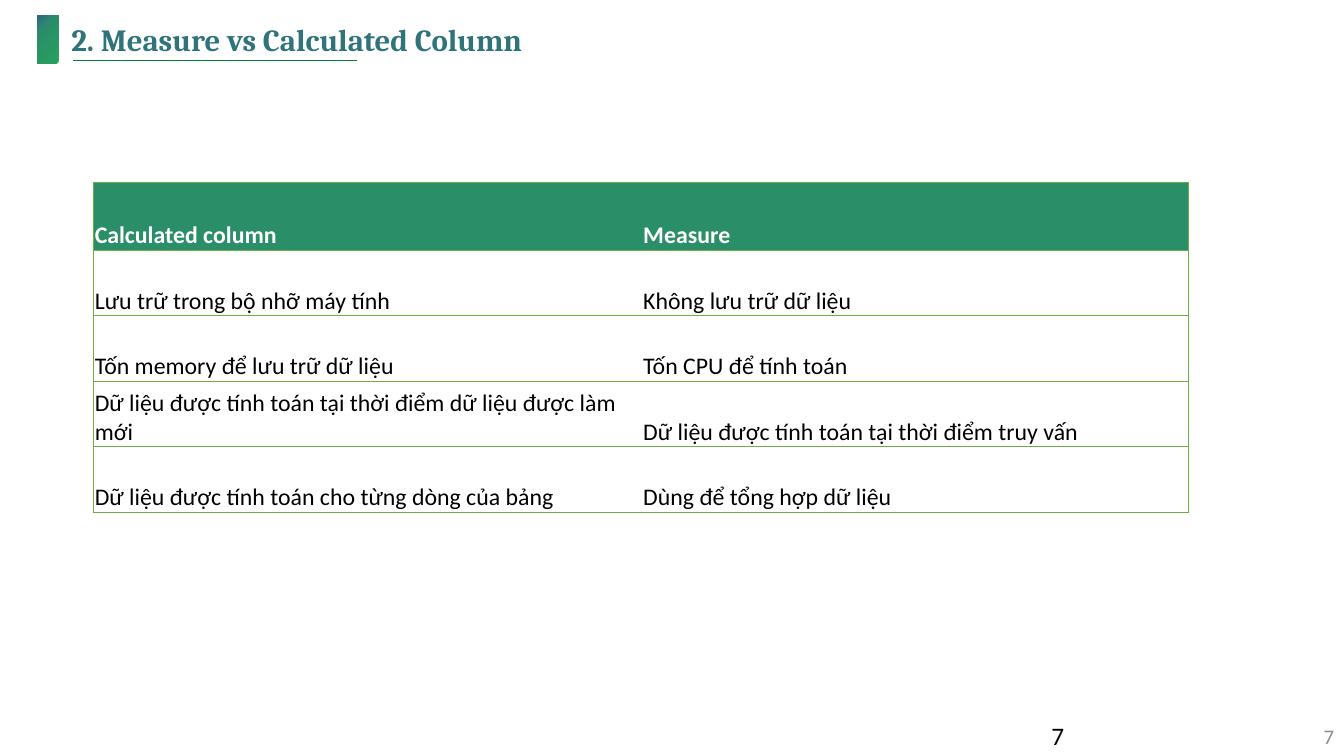
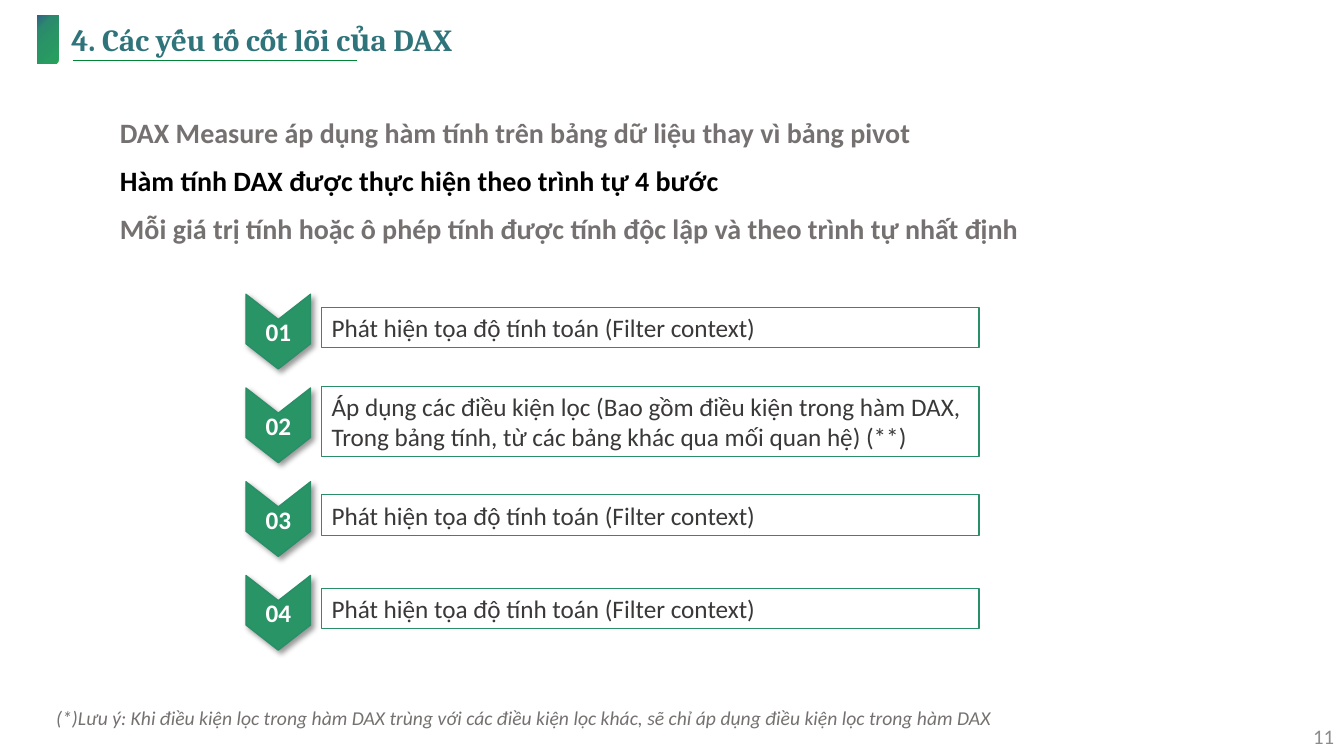
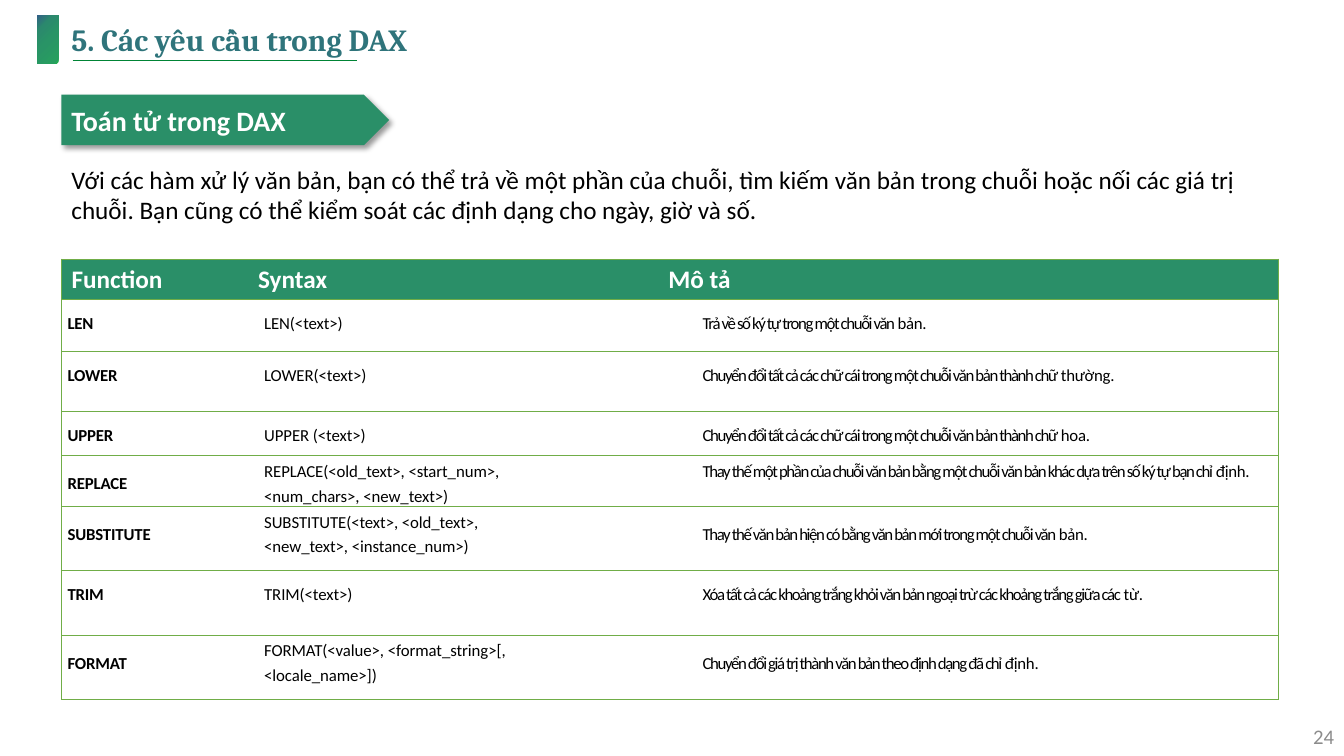
from pptx import Presentation, util as u
from pptx.dml.color import RGBColor
from pptx.enum import shapes, text
from pptx.oxml import parse_xml
from pptx.oxml.ns import qn

NS = 'xmlns:a="http://schemas.openxmlformats.org/drawingml/2006/main"'
PLAIN_TABLE = "{2D5ABB26-0587-4C30-8999-92F81FD0307C}"
GREEN, MINT, RULE, EDGE = "2A8F68", "299465", "008435", "70AD47"
TEAL, BLACK, WHITE = "2F747B", "000000", "FFFFFF"
GREY, PALE, DARK = "767171", "8C8C8C", "3B3838"
BADGE = [(0, "325E89"), (11, TEAL), (23, "2B896D"), (53, "299466"), (92, "279E5F"), (99, "23B350")]
MIDDLE, BOTTOM = text.MSO_ANCHOR.MIDDLE, text.MSO_ANCHOR.BOTTOM
CENTER, RIGHT = text.PP_ALIGN.CENTER, text.PP_ALIGN.RIGHT
KIND = shapes.MSO_SHAPE

HEAD = dict(size=18, color=WHITE, bold=True)
BODY = dict(size=18, color=BLACK)
CELL = dict(size=12, color=BLACK)

COMPARE = [
    ("Calculated column", "Measure"),
    ("Lưu trữ trong bộ nhỡ máy tính", "Không lưu trữ dữ liệu"),
    ("Tốn memory để lưu trữ dữ liệu", "Tốn CPU để tính toán"),
    ("Dữ liệu được tính toán tại thời điểm dữ liệu được làm mới",
     "Dữ liệu được tính toán tại thời điểm truy vấn"),
    ("Dữ liệu được tính toán cho từng dòng của bảng", "Dùng để tổng hợp dữ liệu"),
]
POINTS = [
    ("DAX Measure áp dụng hàm tính trên bảng dữ liệu thay vì bảng pivot", GREY),
    ("Hàm tính DAX được thực hiện theo trình tự 4 bước", BLACK),
    ("Mỗi giá trị tính hoặc ô phép tính được tính độc lập và theo trình tự nhất định", GREY),
]
DETECT = ["Phát hiện tọa độ tính toán (Filter context)"]
FILTER = ["Áp dụng các điều kiện lọc (Bao gồm điều kiện trong hàm DAX,",
          "Trong bảng tính, từ các bảng khác qua mối quan hệ) (**)"]
STEPS = [DETECT, FILTER, DETECT, DETECT]
NOTE = ("(*)Lưu ý: Khi điều kiện lọc trong hàm DAX trùng với các điều kiện lọc khác, "
        "sẽ chỉ áp dụng điều kiện lọc trong hàm DAX")
INTRO = ("Với các hàm xử lý văn bản, bạn có thể trả về một phần của chuỗi, tìm kiếm văn bản "
         "trong chuỗi hoặc nối các giá trị chuỗi. Bạn cũng có thể kiểm soát các định dạng "
         "cho ngày, giờ và số.")
FUNCS = [
    ("LEN", ["LEN(<text>)"], "Trả về số ký tự trong một chuỗi văn bản."),
    ("LOWER", ["LOWER(<text>)"],
     "Chuyển đổi tất cả các chữ cái trong một chuỗi văn bản thành chữ thường."),
    ("UPPER", ["UPPER (<text>)"],
     "Chuyển đổi tất cả các chữ cái trong một chuỗi văn bản thành chữ hoa."),
    ("REPLACE", ["REPLACE(<old_text>, <start_num>,", "<num_chars>, <new_text>)"],
     "Thay thế một phần của chuỗi văn bản bằng một chuỗi văn bản khác dựa trên số ký tự bạn chỉ định."),
    ("SUBSTITUTE", ["SUBSTITUTE(<text>, <old_text>,", "<new_text>, <instance_num>)"],
     "Thay thế văn bản hiện có bằng văn bản mới trong một chuỗi văn bản."),
    ("TRIM", ["TRIM(<text>)"],
     "Xóa tất cả các khoảng trắng khỏi văn bản ngoại trừ các khoảng trắng giữa các từ."),
    ("FORMAT", ["FORMAT(<value>, <format_string>[,", "<locale_name>])"],
     "Chuyển đổi giá trị thành văn bản theo định dạng đã chỉ định."),
]


def rgb(code):
    return RGBColor.from_string(code)


def apply(target, values):
    for name, value in values.items():
        setattr(target, name, value)


def style(run, size, color, name="Calibri", track=0, **more):
    """Format a run; track is letter spacing in points."""
    apply(run.font, dict(size=u.Pt(size), name=name, **more))
    run.font.color.rgb = rgb(color)
    if track:
        run._r.get_or_add_rPr().set("spc", str(round(track * 100)))


def write(frame, lines, look, para=None):
    """Fill a frame; each line is a string or a list of (string, extra look)."""
    for i, line in enumerate(lines):
        par = frame.paragraphs[0] if i == 0 else frame.add_paragraph()
        apply(par, para or {})
        for words, extra in [(line, {})] if isinstance(line, str) else line:
            run = par.add_run()
            run.text = words
            style(run, **{**look, **extra})


def inches(*box):
    return [u.Inches(n) for n in box]


def label(slide, box, lines, look, para=None, **frame):
    area = slide.shapes.add_textbox(*inches(*box)).text_frame
    apply(area, dict(word_wrap=True, **frame))
    write(area, lines, look, para)


def block(slide, kind, box, fill=None, line=None, width=1):
    shape = slide.shapes.add_shape(kind, *inches(*box))
    shape.shadow.inherit = False
    if fill:
        shape.fill.solid()
        shape.fill.fore_color.rgb = rgb(fill)
    else:
        shape.fill.background()
    if line:
        shape.line.color.rgb = rgb(line)
        shape.line.width = u.Pt(width)
    else:
        shape.line.fill.background()
    return shape


def shade(shape):
    """Cast a soft shadow to the lower right."""
    shape._element.spPr.find(qn("a:effectLst")).append(parse_xml(
        f'<a:outerShdw {NS} blurRad="{u.Pt(4)}" dist="{u.Pt(3)}" dir="2700000" algn="tl" '
        'rotWithShape="0"><a:srgbClr val="000000"><a:alpha val="40000"/></a:srgbClr></a:outerShdw>'))


def blend(shape, stops):
    """Fill a shape with rings of colour from its top left corner."""
    marks = "".join(f'<a:gs pos="{at * 1000}"><a:srgbClr val="{code}"/></a:gs>' for at, code in stops)
    props = shape._element.spPr
    props.replace(props.find(qn("a:noFill")), parse_xml(
        f'<a:gradFill {NS} rotWithShape="1"><a:gsLst>{marks}</a:gsLst><a:path path="circle">'
        '<a:fillToRect r="100000" b="100000"/></a:path></a:gradFill>'))


def rule(slide, left, right, top):
    line = slide.shapes.add_connector(shapes.MSO_CONNECTOR.STRAIGHT, *inches(left, top, right, top))
    line.line.color.rgb = rgb(RULE)
    line.line.width = u.Pt(1)
    line._element.spPr.append(parse_xml(f"<a:effectLst {NS}/>"))


def start(deck, title, number):
    """Add a slide with the shared title, badge, rule and number."""
    slide = deck.slides.add_slide(deck.slide_layouts[6])
    rule(slide, 0.72, 3.54, 0.6)
    blend(block(slide, KIND.RECTANGLE, (0.37, 0.15, 0.21, 0.48)), BADGE)
    label(slide, (10.33, 7.1, 3, 0.4), [number], dict(size=14.8, color=PALE),
          dict(alignment=RIGHT), vertical_anchor=MIDDLE)
    label(slide, (0.61, 0.07, 11.19, 0.69), [title],
          dict(size=22, color=TEAL, name="Cambria", bold=True),
          dict(line_spacing=0.9), vertical_anchor=MIDDLE)
    return slide


def grid(slide, left, top, cols, rows):
    """Add a plain table with ruled rows and a filled head."""
    frame = slide.shapes.add_table(len(rows), len(cols), *inches(left, top, sum(cols), sum(rows)))
    table = frame.table
    apply(table, dict(first_row=False, horz_banding=False))
    table._tbl.tblPr.find(qn("a:tableStyleId")).text = PLAIN_TABLE
    for col, size in zip(table.columns, cols):
        col.width = u.Inches(size)
    for i, size in enumerate(rows):
        table.rows[i].height = u.Inches(size)
        for j in range(len(cols)):
            cell = table.cell(i, j)
            sides = "L" * (j == 0) + "R" * (j == len(cols) - 1) + "TB"
            for side in sides:
                cell._tc.get_or_add_tcPr().append(parse_xml(
                    f'<a:ln{side} {NS} w="{u.Pt(0.5)}"><a:solidFill><a:srgbClr val="{EDGE}"/>'
                    f"</a:solidFill></a:ln{side}>"))
            if i == 0:
                cell.fill.solid()
                cell.fill.fore_color.rgb = rgb(GREEN)
            else:
                cell.fill.background()
    return table


def pad(cell, left, top, right, bottom):
    names = ("margin_left", "margin_top", "margin_right", "margin_bottom")
    apply(cell, dict(zip(names, inches(left, top, right, bottom))))


def compare(deck):
    slide = start(deck, "2. Measure vs Calculated Column", "7")
    label(slide, (10.33, 7.1, 3, 0.4), ["7"], BODY)
    table = grid(slide, 0.93, 1.81, [5.44, 5.42], [0.67] + [0.65] * 4)
    for i, row in enumerate(COMPARE):
        for j, words in enumerate(row):
            cell = table.cell(i, j)
            cell.vertical_anchor = BOTTOM
            pad(cell, 0.01, 0.01, 0.01, 0)
            write(cell.text_frame, [words], {**(BODY if i else HEAD), "size": 17})


def step(slide, i, lines):
    mid = 3.29 + 0.93 * i
    arrow = block(slide, KIND.CHEVRON, (2.39, mid - 0.32, 0.74, 0.64), MINT, GREEN)
    arrow.adjustments[0] = 0.39
    arrow.rotation = 90
    shade(arrow)
    area = arrow.text_frame
    area.vertical_anchor = MIDDLE
    area._txBody.bodyPr.set("vert", "vert270")
    write(area, [f"{i + 1:02}"], HEAD, dict(alignment=CENTER))

    tall = 0.1 + 0.3 * len(lines)
    box = block(slide, KIND.RECTANGLE, (3.19, mid - 0.04 - tall / 2, 6.52, tall), None, GREEN, 0.75)
    apply(box.text_frame, dict(word_wrap=len(lines) == 1, vertical_anchor=MIDDLE))
    write(box.text_frame, lines, dict(size=18, color=DARK), dict(alignment=text.PP_ALIGN.LEFT))


def basics(deck):
    slide = start(deck, "4. Các yếu tố cốt lõi của DAX", "11")
    label(slide, (0.61, 1.1, 12.21, 1.49), [[(words, dict(color=tint))] for words, tint in POINTS],
          dict(size=20, color=GREY, bold=True), dict(space_before=u.Pt(10)),
          margin_left=u.Inches(0.58))
    for i, lines in enumerate(STEPS):
        step(slide, i, lines)
    label(slide, (0.46, 6.95, 10.54, 0.34), [NOTE], dict(size=14, color=GREY, italic=True))


def squeeze(words):
    """Tighten all but the last word."""
    lead, last = words.rsplit(" ", 1)
    return [(lead + " ", dict(track=-1)), (last, dict(track=-0.2))]


def needs(deck):
    slide = start(deck, "5. Các yêu cầu trong DAX", "24")
    tag = block(slide, KIND.PENTAGON, (0.61, 0.94, 3.25, 0.5), GREEN)
    shade(tag)
    tag.text_frame.vertical_anchor = MIDDLE
    write(tag.text_frame, ["Toán tử trong DAX"], {**HEAD, "size": 20},
          dict(alignment=text.PP_ALIGN.LEFT))
    label(slide, (0.61, 1.58, 12.16, 0.71), [INTRO], BODY)

    table = grid(slide, 0.61, 2.57, [1.85, 4.07, 6.15],
                 [0.4, 0.52, 0.59, 0.44, 0.5, 0.64, 0.64, 0.64])
    for j, words in enumerate(("Function", "Syntax", "Mô tả")):
        write(table.cell(0, j).text_frame, [words], HEAD)
    for i, (name, syntax, about) in enumerate(FUNCS, 1):
        single = 0.1 if len(syntax) == 1 else 0.14
        double = 0.02
        parts = [
            (0.06, single, [name], dict(bold=True, track=-0.1)),
            (0.16, single if len(syntax) == 1 else double, syntax, dict(track=-0.05)),
            (0.44, double if len(about) > 85 else single, [squeeze(about)], {}),
        ]
        for j, (left, top, lines, extra) in enumerate(parts):
            cell = table.cell(i, j)
            pad(cell, left, top, 0.2 if j == 2 else 0, 0)
            write(cell.text_frame, lines, {**CELL, **extra}, dict(line_spacing=1.2))


def main():
    deck = Presentation()
    apply(deck, dict(slide_width=u.Inches(13.33), slide_height=u.Inches(7.5)))
    for build in (compare, basics, needs):
        build(deck)
    deck.save("out.pptx")


if __name__ == "__main__":
    main()
